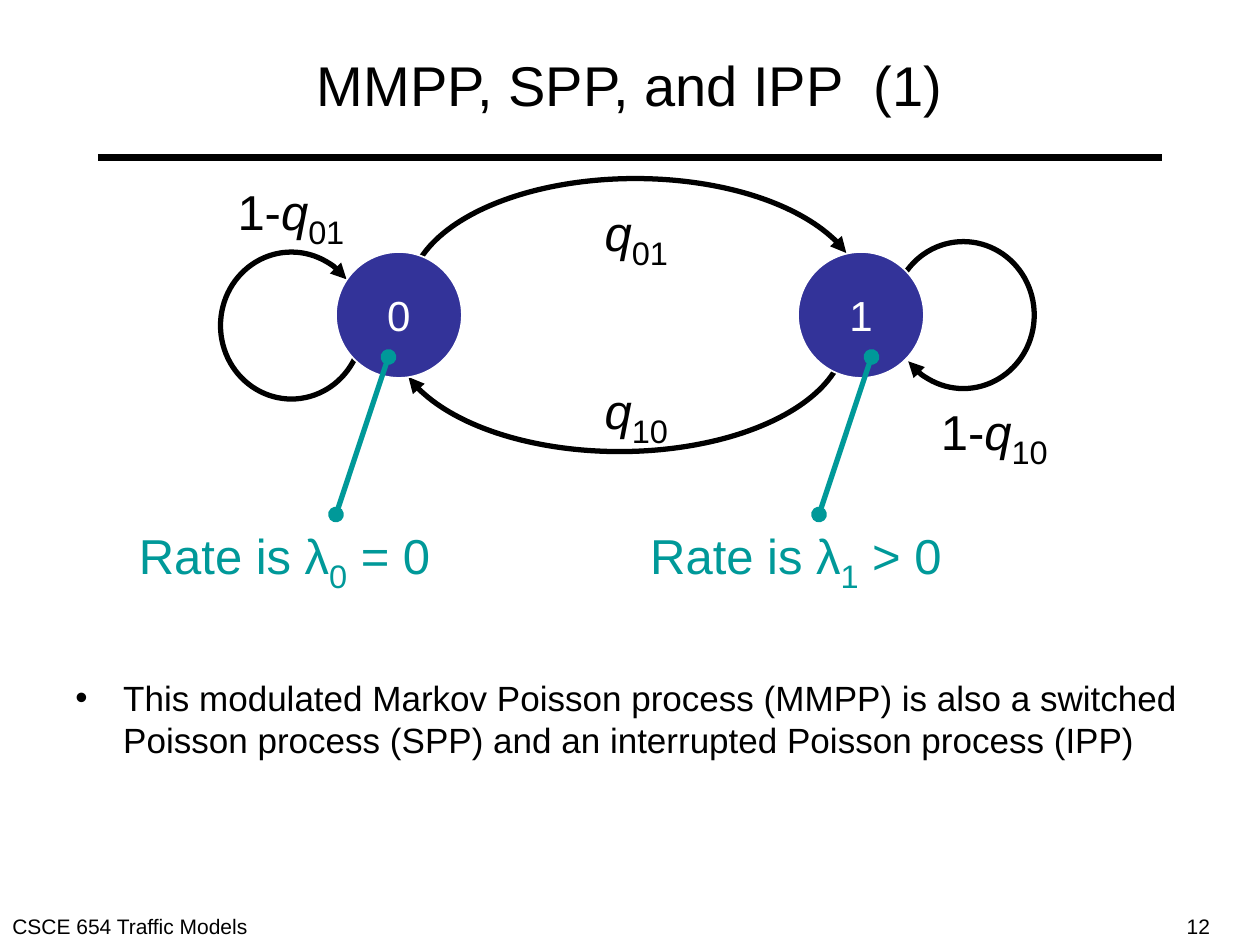
from lxml import etree
from pptx import Presentation
from pptx import util as u
from pptx.dml.color import RGBColor
from pptx.enum import shapes, text
from pptx.oxml.ns import qn

COLORS = {"ink": "000000", "state": "333399", "paper": "FFFFFF", "rate": "009999"}
FONT = "Arial"

deck = Presentation()
deck.slide_width, deck.slide_height = u.Inches(10), u.Inches(7.5)
slide = deck.slides.add_slide(deck.slide_layouts[5])

# The slide is a grid of 120 columns by 90 rows
CELL = deck.slide_width / 120


def write(para, words, size=28, color="ink", italic=False, sub=False):
    span = para.add_run()
    span.text = words
    span.font.name = FONT
    span.font.size = u.Pt(size)
    span.font.italic = italic
    span.font.color.rgb = RGBColor.from_string(COLORS[color])
    if sub:
        span.font._element.set("baseline", "-25000")


def draw_line(shape, color, width, **ends):
    shape.line.color.rgb = RGBColor.from_string(COLORS[color])
    shape.line.width = u.Pt(width)
    for tag, kind in ends.items():
        etree.SubElement(shape.line._get_or_add_ln(), qn(f"a:{tag}"), type=kind)


# Title
title = slide.shapes.title
title.left, title.top, title.width, title.height = [round(n * CELL) for n in (6, 2, 108, 12)]
title.text_frame.vertical_anchor = text.MSO_ANCHOR.MIDDLE
para = title.text_frame.paragraphs[0]
para.alignment = text.PP_ALIGN.CENTER
write(para, "MMPP, SPP, and IPP  (1)", size=32)

# Transition arcs, each turned by half a circle: area, start and end angle
arcs = [
    ((39, 17, 43, 22), 0, 169),
    ((37.5, 21, 43, 22), 180, 349),
    ((21, 24, 13.5, 14), 180, 140),
    ((85, 23, 13.5, 14), 0, 320),
]
for area, start, end in arcs:
    arc = slide.shapes.add_shape(shapes.MSO_SHAPE.ARC, *[round(n * CELL) for n in area])
    arc.rotation = 180
    # Angles count in 60000ths of a degree, adjustments in 100000ths
    arc.adjustments[0], arc.adjustments[1] = start * 0.6, end * 0.6
    arc.shadow.inherit = False
    arc.fill.background()
    draw_line(arc, "ink", 3, tailEnd="triangle")

# States
for name, column in (("0", 32), ("1", 76)):
    state = slide.shapes.add_shape(
        shapes.MSO_SHAPE.OVAL, *[round(n * CELL) for n in (column, 24, 12, 12)])
    state.shadow.inherit = False
    state.fill.solid()
    state.fill.fore_color.rgb = RGBColor.from_string(COLORS["state"])
    draw_line(state, "paper", 1)
    frame = state.text_frame
    frame.word_wrap = False
    frame.vertical_anchor = text.MSO_ANCHOR.MIDDLE
    frame.paragraphs[0].alignment = text.PP_ALIGN.CENTER
    write(frame.paragraphs[0], name, size=24, color="paper")

# Probability and rate labels: column, row, width, colour, lead, symbol, index, rest
labels = [
    (56.4, 18, 8.4, "ink", "", "q", "01", ""),
    (56.4, 35, 8.4, "ink", "", "q", "10", ""),
    (88.4, 37, 12.6, "ink", "1-", "q", "10", ""),
    (21.4, 16, 12.6, "ink", "1-", "q", "01", ""),
    (11.9, 48.8, 30.4, "rate", "Rate is λ", "", "0", " = 0"),
    (60.6, 48.8, 30.4, "rate", "Rate is λ", "", "1", " > 0"),
]
for column, row, width, color, lead, symbol, index, rest in labels:
    box = slide.shapes.add_textbox(*[round(n * CELL) for n in (column, row, width, 8.5)])
    box.text_frame.word_wrap = False
    box.text_frame.auto_size = text.MSO_AUTO_SIZE.SHAPE_TO_FIT_TEXT
    para = box.text_frame.paragraphs[0]
    para.alignment = text.PP_ALIGN.CENTER
    if lead:
        write(para, lead, color=color)
    if symbol:
        write(para, symbol, color=color, italic=True)
    write(para, index, size=32, color=color, sub=True)
    if rest:
        write(para, rest, color=color)

# Title rule and rate pointers
oval_ends = {"headEnd": "oval", "tailEnd": "oval"}
lines = [
    ((9.33, 15, 110.67, 15), "ink", 4.5, {}),
    ((37, 34, 32, 49), "rate", 3, oval_ends),
    ((83, 34, 78, 49), "rate", 3, oval_ends),
]
for ends, color, width, heads in lines:
    line = slide.shapes.add_connector(
        shapes.MSO_CONNECTOR.STRAIGHT, *[round(n * CELL) for n in ends])
    draw_line(line, color, width, **heads)
    etree.SubElement(line._element.spPr, qn("a:effectLst"))

# Body bullet and footer
notes = [
    ((6, 63.8, 108, 16.6), 20, "This modulated Markov Poisson process (MMPP) is also a switched "
     "Poisson process (SPP) and an interrupted Poisson process (IPP)"),
    ((0, 86.4, 25, 3.6), 12, "CSCE 654 Traffic Models"),
    ((111.84, 86.4, 8.16, 3.6), 12, "12"),
]
for area, size, words in notes:
    box = slide.shapes.add_textbox(*[round(n * CELL) for n in area])
    box.text_frame.word_wrap = True
    para = box.text_frame.paragraphs[0]
    if size == 20:
        props = para._p.get_or_add_pPr()
        props.set("marL", str(u.Inches(0.38)))
        props.set("indent", str(u.Inches(-0.38)))
        etree.SubElement(props, qn("a:buFont"), typeface=FONT)
        etree.SubElement(props, qn("a:buChar"), char="•")
    write(para, words, size=size)

deck.save("out.pptx")
